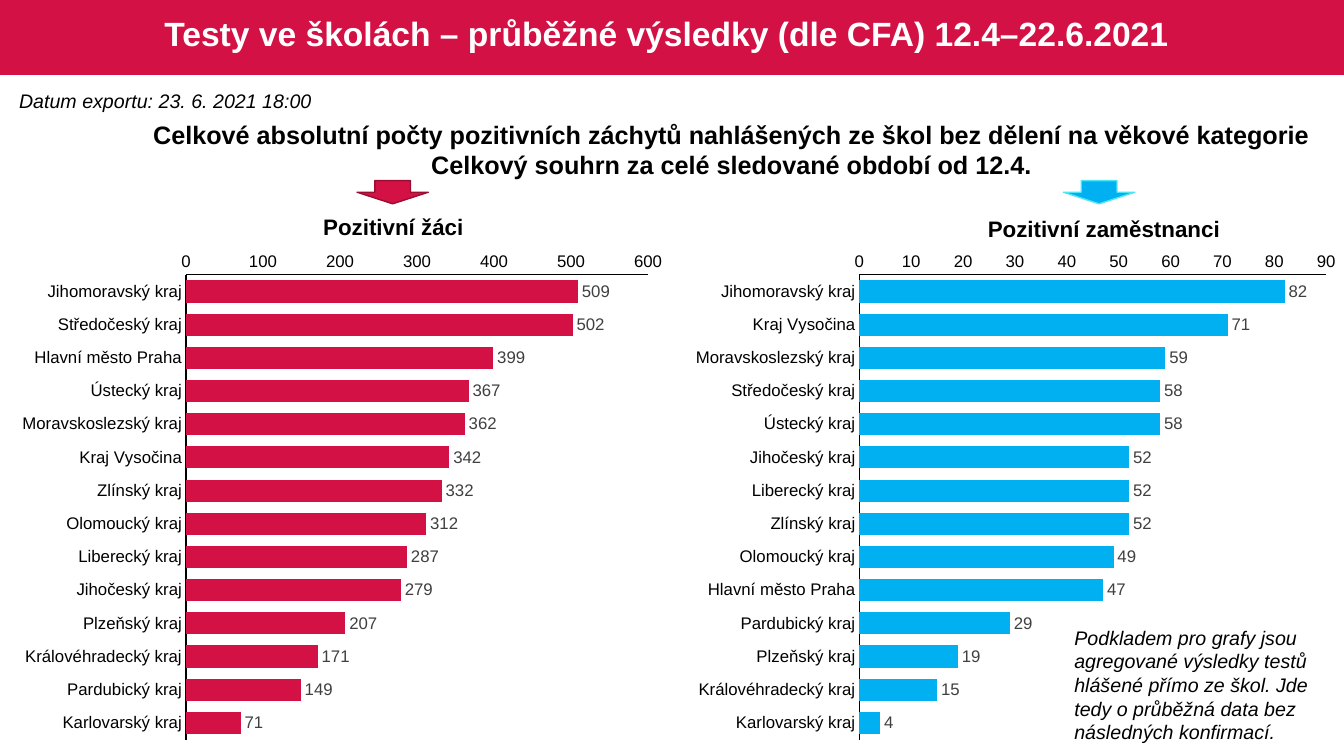
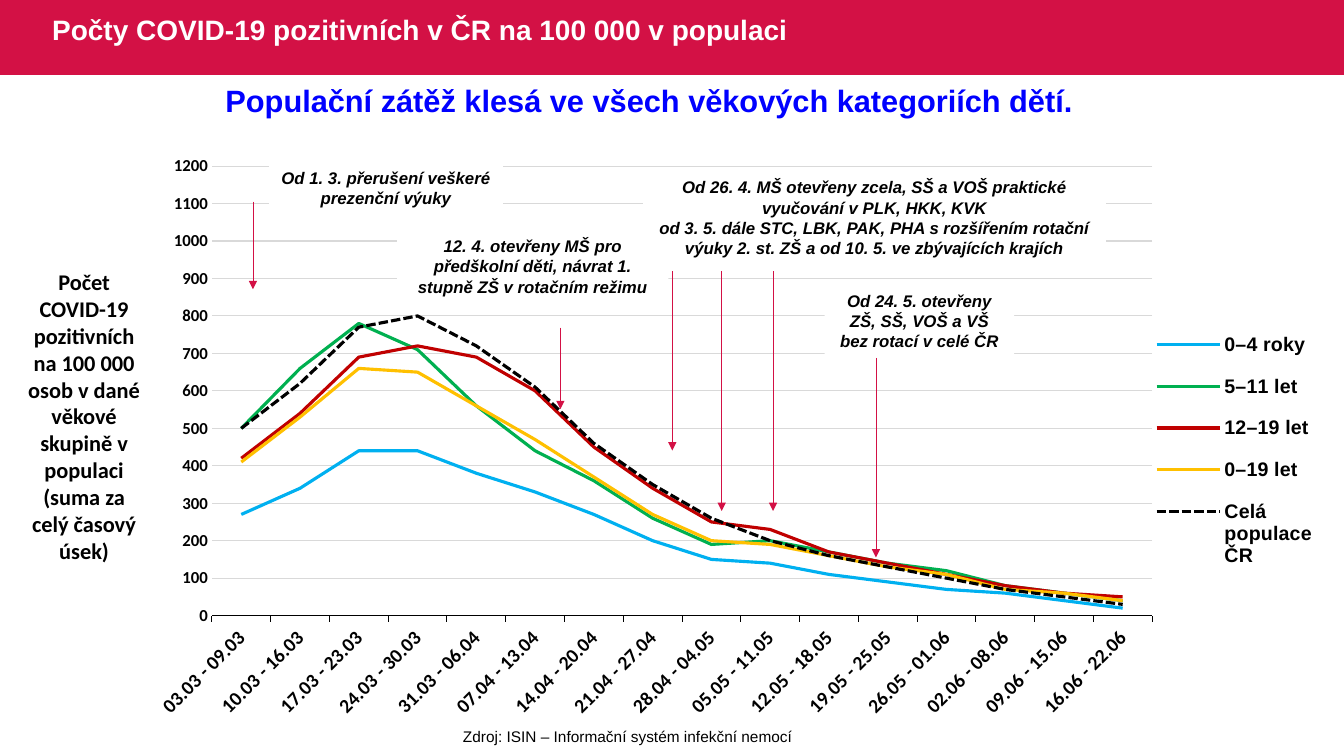
from dataclasses import dataclass
from typing import Optional

from lxml.etree import SubElement
from pptx import Presentation
from pptx.chart.chart import Chart
from pptx.chart.data import CategoryChartData
from pptx.dml.color import RGBColor
from pptx.enum.chart import (
    XL_CHART_TYPE as ChartType,
    XL_LABEL_POSITION as LabelPosition,
    XL_LEGEND_POSITION as LegendPosition,
    XL_TICK_MARK as TickMark,
)
from pptx.enum.dml import MSO_LINE as Dash
from pptx.enum.shapes import MSO_CONNECTOR as ConnectorType, MSO_SHAPE as ShapeType
from pptx.enum.text import MSO_ANCHOR as Anchor, MSO_AUTO_SIZE as AutoSize, PP_ALIGN as Align
from pptx.oxml.ns import qn
from pptx.oxml.xmlchemy import BaseOxmlElement
from pptx.slide import Slide, SlideLayout
from pptx.text.text import Font
from pptx.util import Pt

CRIMSON = RGBColor(0xD3, 0x11, 0x45)
DARK_CRIMSON = RGBColor(0x9C, 0x0D, 0x33)
SKY = RGBColor(0x00, 0xB0, 0xF0)
LIGHT_SKY = RGBColor(0x4D, 0xE5, 0xF5)
GREEN = RGBColor(0x00, 0xB0, 0x50)
RED = RGBColor(0xC0, 0x00, 0x00)
AMBER = RGBColor(0xFF, 0xC0, 0x00)
BLUE = RGBColor(0x00, 0x00, 0xFF)
BLACK = RGBColor(0x00, 0x00, 0x00)
WHITE = RGBColor(0xFF, 0xFF, 0xFF)
LABEL_GREY = RGBColor(0x40, 0x40, 0x40)
GRID_GREY = RGBColor(0xD9, 0xD9, 0xD9)

SLIDE_WIDTH, SLIDE_HEIGHT = 960, 540
BAND_HEIGHT = 53.5
TITLE_HEIGHT = 45.4


@dataclass(frozen=True)
class Box:
    left: float
    top: float
    width: float
    height: float

    def points(self) -> tuple[Pt, Pt, Pt, Pt]:
        return Pt(self.left), Pt(self.top), Pt(self.width), Pt(self.height)


@dataclass(frozen=True)
class Label:
    box: Box
    paragraphs: tuple[str, ...]
    size: float
    bold: bool = False
    italic: bool = False
    color: RGBColor = BLACK
    font: str = "Arial"
    align: Align = Align.CENTER
    wrap: bool = True
    fill: Optional[RGBColor] = None


@dataclass(frozen=True)
class BarPanel:
    heading: Label
    chart_box: Box
    arrow_left: float
    color: RGBColor
    arrow_outline: RGBColor
    counts: dict[str, int]


@dataclass(frozen=True)
class AgeGroup:
    name: str
    values: tuple[int, ...]
    color: RGBColor
    dash: Optional[Dash] = None


@dataclass(frozen=True)
class DownArrow:
    x: float
    top: float
    bottom: float


def note(box: Box, *paragraphs: str) -> Label:
    return Label(box, paragraphs, 12, bold=True, italic=True, fill=WHITE)


PUPILS = BarPanel(
    Label(Box(223, 149, 116, 26.6), ("Pozitivní žáci",), 16, bold=True, wrap=False),
    Box(6.5, 173.5, 476, 362), 255, CRIMSON, DARK_CRIMSON,
    {"Jihomoravský kraj": 509, "Středočeský kraj": 502, "Hlavní město Praha": 399,
     "Ústecký kraj": 367, "Moravskoslezský kraj": 362, "Kraj Vysočina": 342,
     "Zlínský kraj": 332, "Olomoucký kraj": 312, "Liberecký kraj": 287,
     "Jihočeský kraj": 279, "Plzeňský kraj": 207, "Královéhradecký kraj": 171,
     "Pardubický kraj": 149, "Karlovarský kraj": 71},
)
EMPLOYEES = BarPanel(
    Label(Box(697, 149.8, 183, 26.6), ("Pozitivní zaměstnanci",), 16, bold=True, wrap=False),
    Box(487.5, 173.5, 476, 362), 759.6, SKY, LIGHT_SKY,
    {"Jihomoravský kraj": 82, "Kraj Vysočina": 71, "Moravskoslezský kraj": 59,
     "Středočeský kraj": 58, "Ústecký kraj": 58, "Jihočeský kraj": 52,
     "Liberecký kraj": 52, "Zlínský kraj": 52, "Olomoucký kraj": 49,
     "Hlavní město Praha": 47, "Pardubický kraj": 29, "Plzeňský kraj": 19,
     "Královéhradecký kraj": 15, "Karlovarský kraj": 4},
)
SCHOOL_LABELS = (
    Label(Box(6.5, 59.8, 224.6, 24.5), ("Datum exportu: 23. 6. 2021 18:00",), 14,
          italic=True, align=Align.LEFT, wrap=False),
    Label(Box(98, 81.4, 849, 51),
          ("Celkové absolutní počty pozitivních záchytů nahlášených ze škol "
           "bez dělení na věkové kategorie",
           "Celkový souhrn za celé sledované období od 12.4."),
          18, bold=True, wrap=False),
    Label(Box(760.3, 443.5, 209.5, 92),
          ("Podkladem pro grafy jsou agregované výsledky testů hlášené přímo ze škol. "
           "Jde tedy o průběžná data bez následných konfirmací.",),
          14, italic=True, align=Align.LEFT),
)

WEEKS = (
    "03.03 - 09.03", "10.03 - 16.03", "17.03 - 23.03", "24.03 - 30.03",
    "31.03 - 06.04", "07.04 - 13.04", "14.04 - 20.04", "21.04 - 27.04",
    "28.04 - 04.05", "05.05 - 11.05", "12.05 - 18.05", "19.05 - 25.05",
    "26.05 - 01.06", "02.06 - 08.06", "09.06 - 15.06", "16.06 - 22.06",
)
AGE_GROUPS = (
    AgeGroup("0–4 roky", (270, 340, 440, 440, 380, 330, 270, 200,
                          150, 140, 110, 90, 70, 60, 40, 20), SKY),
    AgeGroup("5–11 let", (500, 660, 780, 710, 560, 440, 360, 260,
                          190, 200, 170, 140, 120, 80, 60, 40), GREEN),
    AgeGroup("12–19 let", (420, 540, 690, 720, 690, 600, 450, 340,
                           250, 230, 170, 140, 110, 80, 60, 50), RED),
    AgeGroup("0–19 let", (410, 530, 660, 650, 560, 470, 370, 270,
                          200, 190, 160, 130, 110, 70, 60, 40), AMBER),
    AgeGroup("Celá populace ČR", (500, 620, 770, 800, 720, 610, 460, 350,
                                  260, 200, 160, 130, 100, 70, 50, 30),
             BLACK, Dash.SQUARE_DOT),
)
POPULATION_LABELS = (
    Label(Box(170, 515.5, 557, 20.6), ("Zdroj: ISIN – Informační systém infekční nemocí",), 11),
    Label(Box(10.8, 188, 98.6, 220),
          ("Počet COVID-19 pozitivních na 100 000 osob v dané věkové skupině "
           "v populaci (suma za celý časový úsek)",),
          16, bold=True, font="Calibri"),
    Label(Box(17, 54.7, 893.5, 34), ("Populační zátěž klesá ve všech věkových kategoriích dětí.",),
          22, bold=True, color=BLUE),
    note(Box(192.2, 116, 167, 36), "Od 1. 3. přerušení veškeré prezenční výuky"),
    note(Box(283.7, 165, 193.7, 51),
         "12. 4. otevřeny MŠ pro předškolní děti, návrat 1. stupně ZŠ v rotačním režimu"),
    note(Box(459.4, 123, 330.5, 65.5),
         "Od 26. 4. MŠ otevřeny zcela, SŠ a VOŠ praktické vyučování v PLK, HKK, KVK",
         "od 3. 5. dále STC, LBK, PAK, PHA s rozšířením rotační výuky 2. st. ZŠ "
         "a od 10. 5. ve zbývajících krajích"),
    note(Box(589, 203.8, 135.4, 51), "Od 24. 5. otevřeny ZŠ, SŠ, VOŠ a VŠ bez rotací v celé ČR"),
)
MEASURE_ARROWS = (
    DownArrow(180.7, 144, 206.6),
    DownArrow(400.3, 234, 292.3),
    DownArrow(480.2, 193.7, 321.8),
    DownArrow(515.5, 193.7, 365),
    DownArrow(552.2, 193.7, 365),
    DownArrow(625.7, 255.6, 398.2),
)


def style_font(font: Font, size: float, color: RGBColor = BLACK, bold: bool = False,
               italic: bool = False, name: str = "Arial") -> None:
    font.name, font.size, font.bold, font.italic = name, Pt(size), bold, italic
    font.color.rgb = color


def add_band(slide: Slide, layout: SlideLayout) -> None:
    """Draw the title band and move it to the layout, behind every slide's title."""
    band = slide.shapes.add_shape(ShapeType.RECTANGLE, *Box(0, 0, SLIDE_WIDTH, BAND_HEIGHT).points())
    band.shadow.inherit = False
    band.fill.solid()
    band.fill.fore_color.rgb = CRIMSON
    band.line.fill.background()
    layout.shapes.element.insert(2, band.element)


def set_title(slide: Slide, text: str, box: Box, size: float, align: Align) -> None:
    title = slide.shapes.title
    title.left, title.top, title.width, title.height = box.points()
    frame = title.text_frame
    frame.auto_size, frame.vertical_anchor = AutoSize.NONE, Anchor.MIDDLE
    paragraph = frame.paragraphs[0]
    paragraph.alignment, paragraph.line_spacing = align, 0.9
    run = paragraph.add_run()
    run.text = text
    style_font(run.font, size, WHITE, bold=True)


def add_label(slide: Slide, label: Label) -> None:
    shape = slide.shapes.add_textbox(*label.box.points())
    if label.fill is not None:
        shape.fill.solid()
        shape.fill.fore_color.rgb = label.fill
    frame = shape.text_frame
    frame.word_wrap, frame.auto_size = label.wrap, AutoSize.SHAPE_TO_FIT_TEXT
    for index, text in enumerate(label.paragraphs):
        paragraph = frame.add_paragraph() if index else frame.paragraphs[0]
        paragraph.alignment = label.align
        run = paragraph.add_run()
        run.text = text
        style_font(run.font, label.size, label.color, label.bold, label.italic, label.font)


def add_chart(slide: Slide, kind: ChartType, box: Box, data: CategoryChartData) -> Chart:
    chart = slide.shapes.add_chart(kind, *box.points(), data).chart
    chart.has_title = chart.has_legend = False
    style_font(chart.font, 10)
    for axis in (chart.category_axis, chart.value_axis):
        axis.has_major_gridlines = False
        axis.major_tick_mark = axis.minor_tick_mark = TickMark.NONE
        axis.format.line.color.rgb = BLACK
        axis.format.line.width = Pt(0.75)
        style_font(axis.tick_labels.font, 12)
    chart.value_axis.minimum_scale = 0
    return chart


def add_bar_panel(slide: Slide, panel: BarPanel) -> None:
    data = CategoryChartData()
    data.categories = list(panel.counts)
    data.add_series(panel.heading.paragraphs[0], panel.counts.values())
    chart = add_chart(slide, ChartType.BAR_CLUSTERED, panel.chart_box, data)
    chart.category_axis.reverse_order = True
    plot = chart.plots[0]
    plot.gap_width, plot.vary_by_categories = 50, False
    fill = plot.series[0].format.fill
    fill.solid()
    fill.fore_color.rgb = panel.color
    plot.has_data_labels = True
    plot.data_labels.show_value = True
    plot.data_labels.position = LabelPosition.OUTSIDE_END
    style_font(plot.data_labels.font, 12, LABEL_GREY)
    add_label(slide, panel.heading)

    arrow = slide.shapes.add_shape(ShapeType.DOWN_ARROW, *Box(panel.arrow_left, 129, 51, 16.6).points())
    arrow.shadow.inherit = False
    arrow.fill.solid()
    arrow.fill.fore_color.rgb = panel.color
    arrow.line.color.rgb = panel.arrow_outline
    arrow.line.width = Pt(1)


def place_chart_part(part: BaseOxmlElement, index: int, inner: bool, **fractions: float) -> None:
    """Give a plot area or legend a fixed place, as fractions of the chart."""
    for old_layout in part.findall(qn("c:layout")):
        part.remove(old_layout)
    layout = part.makeelement(qn("c:layout"))
    part.insert(index, layout)
    manual = SubElement(layout, qn("c:manualLayout"))
    if inner:
        SubElement(manual, qn("c:layoutTarget"), val="inner")
    for mode in ("xMode", "yMode"):
        SubElement(manual, qn(f"c:{mode}"), val="edge")
    for name, value in fractions.items():
        SubElement(manual, qn(f"c:{name}"), val=str(value))


def add_population_chart(slide: Slide) -> None:
    data = CategoryChartData()
    data.categories = WEEKS
    for group in AGE_GROUPS:
        data.add_series(group.name, group.values)
    chart = add_chart(slide, ChartType.LINE, Box(109.4, 110.2, 839.5, 422.6), data)

    weeks, rate = chart.category_axis, chart.value_axis
    weeks.major_tick_mark = TickMark.OUTSIDE
    style_font(weeks.tick_labels.font, 14, bold=True, name="Calibri")
    chart.element.xpath(".//c:catAx/c:txPr/a:bodyPr")[0].set("rot", "-2700000")
    style_font(rate.tick_labels.font, 12, bold=True, name="Calibri")
    rate.maximum_scale, rate.major_unit = 1200, 100
    rate.format.line.fill.background()
    rate.has_major_gridlines = True
    rate.major_gridlines.format.line.color.rgb = GRID_GREY
    rate.major_gridlines.format.line.width = Pt(0.75)

    for series, group in zip(chart.plots[0].series, AGE_GROUPS):
        series.smooth = False
        line = series.format.line
        line.color.rgb, line.width = group.color, Pt(2.25)
        if group.dash is not None:
            line.dash_style = group.dash

    chart.has_legend = True
    chart.legend.position = LegendPosition.RIGHT
    chart.legend.include_in_layout = False
    style_font(chart.legend.font, 14, bold=True)
    place_chart_part(chart.element.xpath(".//c:plotArea")[0], 0, True, x=0.05, y=0.02, w=0.8, h=0.76)
    place_chart_part(chart.element.xpath(".//c:legend")[0], 1, False, x=0.85, y=0.27, w=0.14, h=0.46)


def add_down_arrow(slide: Slide, arrow: DownArrow) -> None:
    x = Pt(arrow.x)
    connector = slide.shapes.add_connector(ConnectorType.STRAIGHT, x, Pt(arrow.top), x, Pt(arrow.bottom))
    connector.line.color.rgb = CRIMSON
    connector.line.width = Pt(0.5)
    SubElement(connector.element.xpath("p:spPr/a:ln")[0], qn("a:tailEnd"), type="triangle")
    SubElement(connector.element.xpath("p:spPr")[0], qn("a:effectLst"))


def fill_school_slide(slide: Slide) -> None:
    set_title(slide, "Testy ve školách – průběžné výsledky (dle CFA) 12.4–22.6.2021",
              Box(9, 3, 934, TITLE_HEIGHT), 24, Align.CENTER)
    for panel in (PUPILS, EMPLOYEES):
        add_bar_panel(slide, panel)
    for label in SCHOOL_LABELS:
        add_label(slide, label)


def fill_population_slide(slide: Slide) -> None:
    set_title(slide, "Počty COVID-19 pozitivních v ČR na 100 000 v populaci",
              Box(30, 0, 603, TITLE_HEIGHT), 20, Align.LEFT)
    add_population_chart(slide)
    for label in POPULATION_LABELS:
        add_label(slide, label)
    for arrow in MEASURE_ARROWS:
        add_down_arrow(slide, arrow)


def main() -> None:
    presentation = Presentation()
    presentation.slide_width, presentation.slide_height = Pt(SLIDE_WIDTH), Pt(SLIDE_HEIGHT)
    layout = presentation.slide_layouts.get_by_name("Title Only")
    school_slide, population_slide = (presentation.slides.add_slide(layout) for _ in range(2))
    add_band(school_slide, layout)
    fill_school_slide(school_slide)
    fill_population_slide(population_slide)
    presentation.save("out.pptx")


if __name__ == "__main__":
    main()
